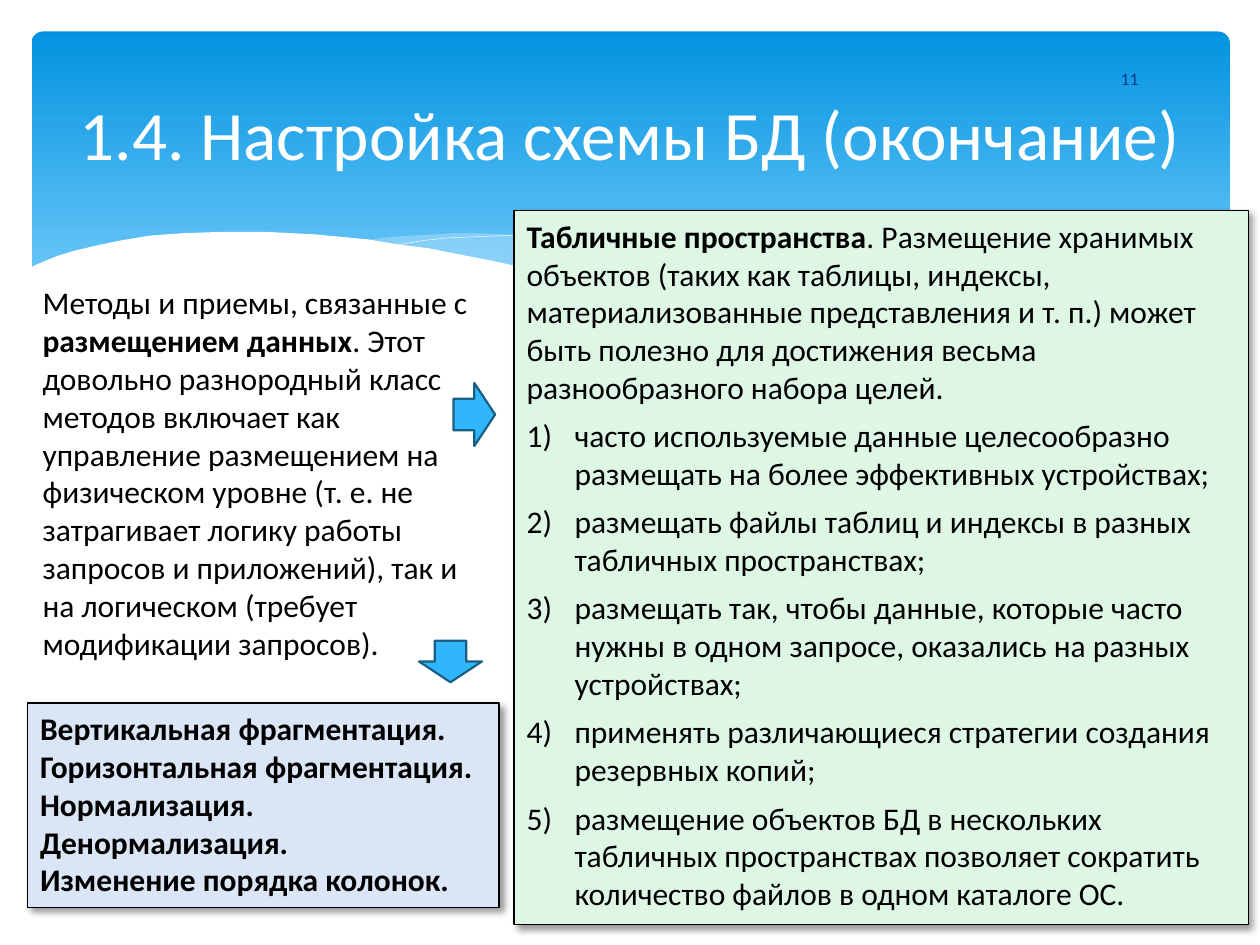
"""Build the slide on tuning a database schema with data placement methods."""
from dataclasses import dataclass
from typing import Any, NamedTuple

from lxml.etree import SubElement
from pptx import Presentation
from pptx.dml.color import RGBColor
from pptx.enum.shapes import MSO_SHAPE as Preset
from pptx.enum.text import MSO_ANCHOR as Anchor, MSO_AUTO_SIZE as AutoSize, PP_ALIGN as Align
from pptx.oxml.ns import qn
from pptx.util import Inches, Pt

CELL = Inches(0.1)
COLUMNS, ROWS = 100, 75
FINE_CELL = CELL / 10

WHITE = RGBColor(0xFF, 0xFF, 0xFF)
BLACK = RGBColor(0x00, 0x00, 0x00)
SKY_TOP = RGBColor(0x02, 0x93, 0xE0)
SKY_BOTTOM = RGBColor(0x83, 0xD3, 0xFE)
PALE_WAVE = RGBColor(0xC6, 0xE7, 0xFC)
NUMBER_BLUE = RGBColor(0x07, 0x3E, 0x87)
ARROW_FILL = RGBColor(0x31, 0xB6, 0xFD)
ARROW_LINE = RGBColor(0x19, 0x5F, 0x84)
MINT = RGBColor(0xDE, 0xF6, 0xE4)
ICE = RGBColor(0xDA, 0xE6, 0xF6)


class Area(NamedTuple):
    """A place on the slide in grid columns and rows."""
    left: float
    top: float
    width: float
    height: float

    def lengths(self) -> list[int]:
        """Give the place as lengths."""
        return [round(value * CELL) for value in self]


class Run(NamedTuple):
    """A stretch of text in one weight."""
    text: str
    bold: bool = False


@dataclass(frozen=True)
class Wave:
    """An outline in hundredths of an inch."""
    points: tuple[tuple[int, int], ...]
    fill: RGBColor | None = None
    opacity: int = 100
    closed: bool = True


@dataclass(frozen=True)
class Arrow:
    """A block arrow and its turn in degrees."""
    area: Area
    rotation: int = 0


WAVES = (
    Wave(((893, 273), (866, 269), (837, 265), (807, 260), (775, 254), (741, 247), (706, 240),
          (668, 231), (629, 222), (598, 214), (569, 208), (541, 203), (514, 198), (489, 194),
          (465, 191), (442, 189), (420, 187), (399, 186), (380, 185), (361, 185), (344, 186),
          (313, 188), (286, 191), (323, 196), (362, 203), (404, 211), (449, 222), (491, 232),
          (530, 240), (566, 248), (601, 255), (634, 261), (665, 266), (695, 270), (722, 274),
          (748, 276), (773, 277), (796, 278), (818, 278), (838, 278), (857, 277), (876, 275)),
         PALE_WAVE, 40),
    Wave(((309, 195), (318, 194), (335, 191), (353, 189), (374, 188), (401, 187), (433, 187),
          (469, 189), (510, 192), (556, 197), (608, 204), (665, 213), (727, 226), (795, 241),
          (869, 261), (907, 272)), closed=False),
    Wave(((977, 246), (959, 253), (940, 259), (920, 265), (899, 269), (875, 273), (850, 275),
          (823, 277), (793, 276), (761, 275), (726, 272), (688, 268), (648, 262), (603, 254),
          (555, 245), (503, 233), (447, 220), (418, 213), (391, 207), (365, 202), (340, 197),
          (316, 194), (292, 190), (271, 188), (250, 186), (230, 185), (211, 184), (177, 184),
          (146, 185), (119, 187), (95, 191), (76, 195), (59, 199), (46, 203), (36, 207),
          (29, 210), (23, 213), (23, 329), (977, 329)), WHITE),
)
ARROWS = (Arrow(Area(36, 30.4, 3.3, 5)), Arrow(Area(34.1, 50, 3.3, 5), 90))

TITLE = "1.4. Настройка схемы БД (окончание)"
PLACEMENT = (
    Run("Методы и приемы, связанные с "),
    Run("размещением данных", True),
    Run(". Этот довольно разнородный класс методов включает как управление размещением на "
        "физическом уровне (т. е. не затрагивает логику работы запросов и приложений), так и "
        "на логическом (требует модификации запросов)."),
)
TABLESPACES = (
    Run("Табличные пространства", True),
    Run(". Размещение хранимых объектов (таких как таблицы, индексы, материализованные "
        "представления и т. п.) может быть полезно для достижения весьма разнообразного "
        "набора целей."),
)
GOALS = (
    "часто используемые данные целесообразно размещать на более эффективных устройствах;",
    "размещать файлы таблиц и индексы в разных табличных пространствах;",
    "размещать так, чтобы данные, которые часто нужны в одном запросе, оказались на разных "
    "устройствах;",
    "применять различающиеся стратегии создания резервных копий;",
    "размещение объектов БД в нескольких табличных пространствах позволяет сократить "
    "количество файлов в одном каталоге ОС.",
)
TECHNIQUES = ("Вертикальная фрагментация.", "Горизонтальная фрагментация.", "Нормализация.",
              "Денормализация.", "Изменение порядка колонок.")

FRAME_FORMAT = {"word_wrap": True, "auto_size": AutoSize.NONE, "vertical_anchor": Anchor.TOP}
PARAGRAPH_FORMAT = {"alignment": Align.LEFT, "space_before": Pt(0), "space_after": Pt(6)}


def apply(target: Any, values: dict[str, Any]) -> None:
    """Set each named attribute of the target."""
    for name, value in values.items():
        setattr(target, name, value)


def place(shape: Any, area: Area) -> None:
    """Move and size a shape."""
    apply(shape, dict(zip(("left", "top", "width", "height"), area.lengths())))


def paint(shape: Any, fill: RGBColor, line: RGBColor, width: float) -> None:
    """Give a shape a plain fill and outline."""
    shape.fill.solid()
    shape.fill.fore_color.rgb = fill
    shape.line.color.rgb = line
    shape.line.width = Pt(width)


def cast_shadow(shape: Any) -> None:
    """Add a soft shadow to the lower right."""
    effects = SubElement(shape._element.spPr, qn("a:effectLst"))
    shadow = SubElement(effects, qn("a:outerShdw"), blurRad=str(Pt(4)), dist=str(Pt(3)),
                        dir="2700000", algn="tl", rotWithShape="0")
    color = SubElement(shadow, qn("a:srgbClr"), val=str(BLACK))
    SubElement(color, qn("a:alpha"), val="40000")


def write(shape: Any, paragraphs: list[tuple[Run, ...]], size: float = 18,
          color: RGBColor = BLACK, frame: dict[str, Any] | None = None,
          layout: dict[str, Any] | None = None) -> None:
    """Fill a shape with formatted paragraphs."""
    text_frame = shape.text_frame
    apply(text_frame, FRAME_FORMAT | (frame or {}))
    for index, runs in enumerate(paragraphs):
        paragraph = text_frame.add_paragraph() if index else text_frame.paragraphs[0]
        apply(paragraph, PARAGRAPH_FORMAT | (layout or {}))
        for text, bold in runs:
            run = paragraph.add_run()
            run.text = text
            apply(run.font, {"name": "Calibri", "size": Pt(size), "bold": bold})
            run.font.color.rgb = color


def set_bullet(paragraph: Any, indent: float, numbered: bool) -> None:
    """Number a paragraph with a hanging indent, or clear its bullet."""
    properties = paragraph._p.get_or_add_pPr()
    properties.set("marL", str(Inches(indent)))
    properties.set("indent", str(-Inches(indent)))
    if numbered:
        SubElement(properties, qn("a:buFont"), typeface="+mj-lt")
        SubElement(properties, qn("a:buAutoNum"), type="arabicParenR")
    else:
        SubElement(properties, qn("a:buNone"))


def draw_sky(slide: Any) -> None:
    """Draw the rounded gradient panel behind the title."""
    sky = slide.shapes.add_shape(Preset.ROUNDED_RECTANGLE, *Area(2.5, 2.5, 95.1, 27).lengths())
    sky.adjustments[0] = 0.034
    sky.shadow.inherit = False
    sky.line.fill.background()
    sky.fill.gradient()
    sky.fill.gradient_angle = 270
    for stop, color, position in zip(sky.fill.gradient_stops, (SKY_TOP, SKY_BOTTOM), (0, 0.9)):
        stop.color.rgb = color
        stop.position = position


def draw_wave(slide: Any, wave: Wave) -> None:
    """Draw one wave as a filled outline or an open white line."""
    builder = slide.shapes.build_freeform(*wave.points[0], scale=FINE_CELL)
    builder.add_line_segments(wave.points[1:], close=wave.closed)
    shape = builder.convert_to_shape()
    shape.shadow.inherit = False
    if wave.fill is None:
        shape.fill.background()
        shape.line.color.rgb = WHITE
        shape.line.width = Pt(0.25)
        return
    shape.line.fill.background()
    shape.fill.solid()
    shape.fill.fore_color.rgb = wave.fill
    if wave.opacity < 100:
        color = shape._element.spPr.find(".//" + qn("a:srgbClr"))
        SubElement(color, qn("a:alpha"), val=str(wave.opacity * 1000))


def draw_arrow(slide: Any, arrow: Arrow) -> None:
    """Draw one block arrow."""
    shape = slide.shapes.add_shape(Preset.RIGHT_ARROW, *arrow.area.lengths())
    shape.rotation = arrow.rotation
    shape.shadow.inherit = False
    paint(shape, ARROW_FILL, ARROW_LINE, 1.25)


def main() -> None:
    """Build and save the slide."""
    presentation = Presentation()
    apply(presentation, {"slide_width": COLUMNS * CELL, "slide_height": ROWS * CELL})
    slide = presentation.slides.add_slide(presentation.slide_layouts[1])
    title, body = slide.placeholders
    draw_sky(slide)
    for wave in WAVES:
        draw_wave(slide, wave)
    for placeholder in (title, body):
        slide.shapes._spTree.append(placeholder._element)

    number = slide.shapes.add_textbox(*Area(83.3, 4.2, 12.7, 4).lengths())
    margins = dict.fromkeys(("margin_left", "margin_right", "margin_top", "margin_bottom"), 0)
    centred = {"alignment": Align.CENTER, "space_after": Pt(0)}
    write(number, [(Run("11"),)], 10, NUMBER_BLUE,
          margins | {"vertical_anchor": Anchor.MIDDLE}, centred)
    place(title, Area(5, 3.7, 90, 13.7))
    write(title, [(Run(TITLE),)], 39.6, WHITE, {"vertical_anchor": Anchor.MIDDLE}, centred)

    place(body, Area(40.8, 16.7, 58.3, 56.7))
    paint(body, MINT, BLACK, 0.75)
    cast_shadow(body)
    write(body, [TABLESPACES, *((Run(goal),) for goal in GOALS)])
    for index, paragraph in enumerate(body.text_frame.paragraphs):
        set_bullet(paragraph, 0.38 if index else 0, index > 0)

    placement = slide.shapes.add_textbox(*Area(2.4, 22, 36.7, 31.3).lengths())
    write(placement, [PLACEMENT])
    techniques = slide.shapes.add_shape(Preset.RECTANGLE, *Area(2.2, 55.8, 37.4, 16.2).lengths())
    paint(techniques, ICE, BLACK, 0.75)
    cast_shadow(techniques)
    write(techniques, [(Run(name, True),) for name in TECHNIQUES],
          frame={"word_wrap": False}, layout={"space_after": Pt(0)})
    for arrow in ARROWS:
        draw_arrow(slide, arrow)
    presentation.save("out.pptx")


if __name__ == "__main__":
    main()
